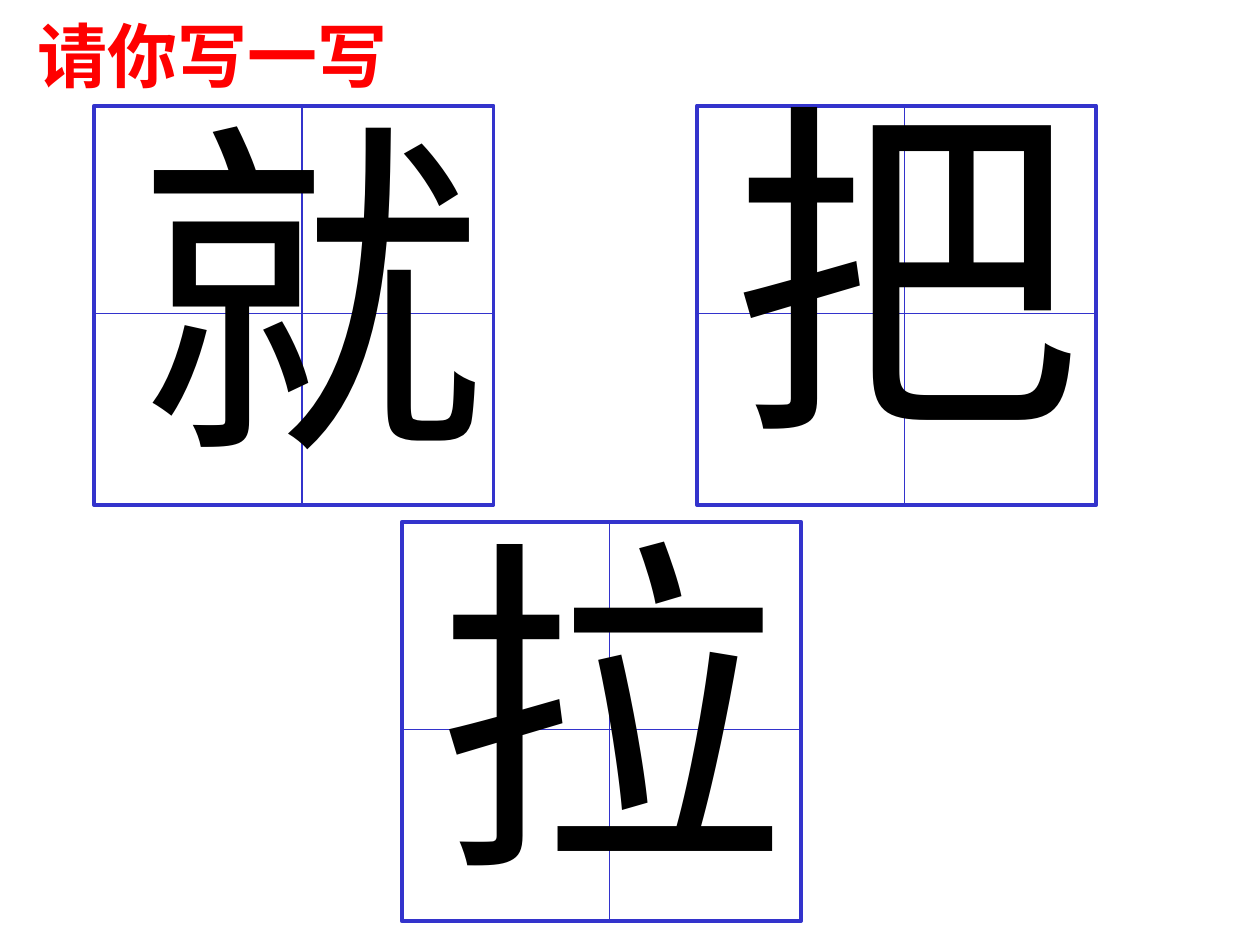
import pptx
import pptx.dml.color
import pptx.enum.shapes
import pptx.enum.text
import pptx.oxml.ns
import pptx.util
from lxml import etree

Cm = pptx.util.Cm
Pt = pptx.util.Pt
COLOURS = {"title": "FF0000", "grid": "3333CC", "paper": "FFFFFF", "ink": "000000"}
SQUARE = 8.05
MIDDLE = 4.19

# character, square (left, top), text box (left, top, width, height)
CHARACTERS = [
    ("就", (1.9, 2.13), (2.49, 1.32, 7.6, 8.74)),
    ("把", (14.05, 2.13), (14.5, 0.91, 7.01, 8.74)),
    ("拉", (8.1, 10.52), (8.51, 9.73, 8.61, 8.74)),
]


def rgb(name):
    return pptx.dml.color.RGBColor.from_string(COLOURS[name])


def add_text(page, text, place, size, colour, bold=False):
    box = page.shapes.add_textbox(*[Cm(length) for length in place])
    frame = box.text_frame
    frame.word_wrap = True
    frame.auto_size = pptx.enum.text.MSO_AUTO_SIZE.SHAPE_TO_FIT_TEXT
    span = frame.paragraphs[0].add_run()
    span.text = text
    span.font.name = "Times New Roman"
    span.font.size = Pt(size)
    span.font.bold = bold
    span.font.color.rgb = rgb(colour)


deck = pptx.Presentation()
deck.slide_width = Cm(25.4)
deck.slide_height = Cm(19.05)
page = deck.slides.add_slide(deck.slide_layouts[6])

add_text(page, "请你写一写", (0.51, 0.13, 7.8, 1.96), 40, "title", bold=True)

for character, (left, top), place in CHARACTERS:
    grid = page.shapes.add_group_shape()
    square = grid.shapes.add_shape(
        pptx.enum.shapes.MSO_SHAPE.RECTANGLE, Cm(left), Cm(top), Cm(SQUARE), Cm(SQUARE)
    )
    square.shadow.inherit = False
    square.fill.solid()
    square.fill.fore_color.rgb = rgb("paper")
    square.line.color.rgb = rgb("grid")
    square.line.width = Pt(2.25)

    across = (left, top + MIDDLE, left + SQUARE, top + MIDDLE)
    down = (left + MIDDLE, top, left + MIDDLE, top + SQUARE)
    for ends in (across, down):
        line = grid.shapes.add_connector(
            pptx.enum.shapes.MSO_CONNECTOR.STRAIGHT, *[Cm(length) for length in ends]
        )
        line.line.color.rgb = rgb("grid")
        line.line.width = Pt(0.75)
        etree.SubElement(line._element.spPr, pptx.oxml.ns.qn("a:effectLst"))

    add_text(page, character, place, 200, "ink")

deck.save("out.pptx")
